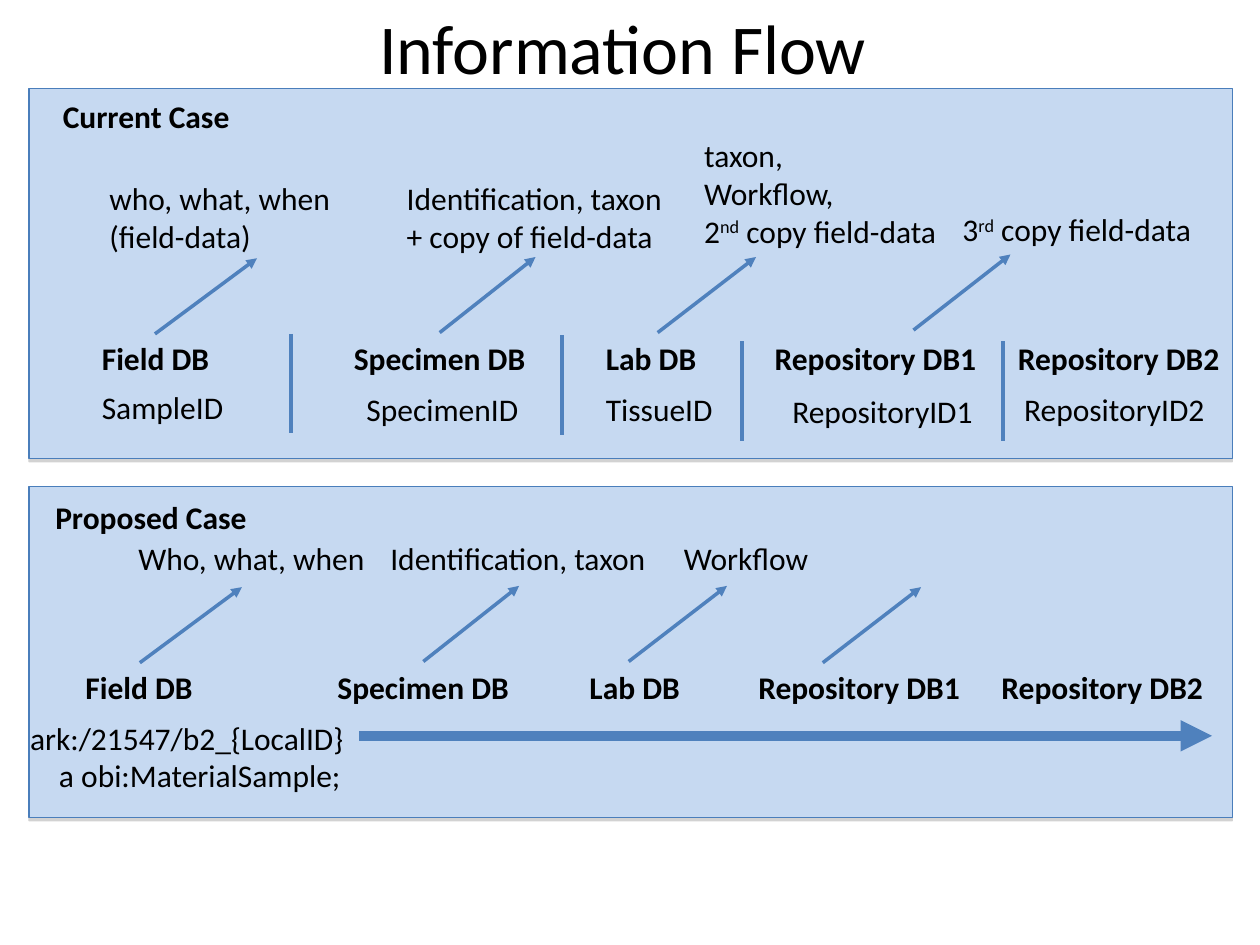
from lxml.etree import SubElement
from pptx import Presentation
from pptx.dml.color import RGBColor
from pptx.enum.shapes import MSO_CONNECTOR, MSO_SHAPE
from pptx.enum.text import MSO_AUTO_SIZE
from pptx.oxml.ns import qn
from pptx.util import Inches, Pt

COLORS = {"panel": "C6D9F1", "border": "4A7EBB", "line": "4F81BD", "text": "000000", "shadow": "808080"}


def add_text(shapes, text, left, top, width, bold=False, size=18):
    lines = text.split("\n")
    height = 0.77 if size == 40 else 0.1 + 0.3 * len(lines)
    box = shapes.add_textbox(Inches(left), Inches(top), Inches(width), Inches(height))
    frame = box.text_frame
    frame.word_wrap = False
    frame.auto_size = MSO_AUTO_SIZE.SHAPE_TO_FIT_TEXT
    for index, line in enumerate(lines):
        para = frame.add_paragraph() if index else frame.paragraphs[0]
        for part, words in enumerate(line.split("^")):
            span = para.add_run()
            span.text = words
            span.font.name = "Calibri"
            span.font.size = Pt(size)
            span.font.bold = bold
            span.font.color.rgb = RGBColor.from_string(COLORS["text"])
            if part % 2:
                span.font._element.set("baseline", "30000")


def add_line(shapes, start_x, start_y, end_x, end_y, weight=2, arrow=True):
    line = shapes.add_connector(
        MSO_CONNECTOR.STRAIGHT, Inches(start_x), Inches(start_y), Inches(end_x), Inches(end_y)
    )
    line.line.color.rgb = RGBColor.from_string(COLORS["line"])
    line.line.width = Pt(weight)
    if arrow:
        SubElement(line.line._get_or_add_ln(), qn("a:tailEnd"), type="triangle")
    SubElement(line._element.spPr, qn("a:effectLst"))


deck = Presentation()
deck.slide_width = Inches(10)
deck.slide_height = Inches(7.5)
page = deck.slides.add_slide(deck.slide_layouts[6])

add_text(page.shapes, "Information Flow", 2.91, -0.01, 4.08, size=40)

databases = [
    ("Field DB", 0.58, 1.05),
    ("Specimen DB", 2.58, 1.56),
    ("Lab DB", 4.58, 0.92),
    ("Repository DB1", 5.92, 1.8),
    ("Repository DB2", 7.85, 1.8),
]

cases = [
    {
        "title": ("Proposed Case", 0.34, 3.9, 1.72),
        "panel": (3.86, 2.63),
        "databases": (0, 5.25),
        "arrows": [(1.11, 5.26, 0.81), (3.36, 5.25, 0.76), (4.99, 5.25, 0.78), (6.53, 5.26, 0.78)],
        "dividers": [],
        "labels": [
            ("Who, what, when", 1, 4.23, 2),
            ("Identification, taxon", 3, 4.23, 2.24),
            ("Workflow", 5.33, 4.23, 1.2),
            ("ark:/21547/b2_{LocalID}", 0.14, 5.66, 2.69),
            ("a obi:MaterialSample;", 0.37, 5.95, 2.44),
        ],
    },
    {
        "title": ("Current Case", 0.4, 0.72, 1.53),
        "panel": (0.7, 2.94),
        "databases": (0.13, 2.64),
        "arrows": [(1.23, 2.65, 0.81), (3.49, 2.64, 0.76), (5.22, 2.64, 0.78), (7.25, 2.62, 0.77)],
        "dividers": [(2.31, 2.65), (4.46, 2.66), (5.89, 2.71), (7.96, 2.71)],
        "labels": [
            ("who, what, when\n(field-data)", 0.77, 1.37, 2.01),
            ("Identification, taxon\n+ copy of field-data", 3.13, 1.37, 2.24),
            ("taxon,\nWorkflow,\n2^nd^ copy field-data", 5.49, 1.03, 2.05),
            ("3^rd^ copy field-data", 7.54, 1.62, 2.02),
            ("SampleID", 0.71, 3.03, 1.2),
            ("SpecimenID", 2.81, 3.05, 1.44),
            ("TissueID", 4.71, 3.05, 1.08),
            ("RepositoryID1", 6.19, 3.06, 1.64),
            ("RepositoryID2", 8.03, 3.05, 1.64),
        ],
    },
]

for case in cases:
    shapes = page.shapes.add_group_shape().shapes
    panel_top, panel_height = case["panel"]
    panel = shapes.add_shape(
        MSO_SHAPE.RECTANGLE, Inches(0.23), Inches(panel_top), Inches(9.55), Inches(panel_height)
    )
    panel.fill.solid()
    panel.fill.fore_color.rgb = RGBColor.from_string(COLORS["panel"])
    panel.line.color.rgb = RGBColor.from_string(COLORS["border"])
    panel.line.width = Pt(0.75)
    panel.shadow.inherit = False
    effects = panel._element.spPr.find(qn("a:effectLst"))
    shadow = SubElement(
        effects, qn("a:outerShdw"), blurRad="0", dist=str(Pt(1.8)), dir="5400000", rotWithShape="0"
    )
    shade = SubElement(shadow, qn("a:srgbClr"), val=COLORS["shadow"])
    SubElement(shade, qn("a:alpha"), val="35000")

    add_text(shapes, *case["title"], bold=True)
    shift, row_top = case["databases"]
    for name, left, width in databases:
        add_text(shapes, name, left + shift, row_top, width, bold=True)
    for label in case["labels"]:
        add_text(shapes, *label)
    for left, bottom, run in case["arrows"]:
        add_line(shapes, left, bottom, left + run, bottom - 0.6)
    for left, top in case["dividers"]:
        add_line(shapes, left, top, left, top + 0.79, arrow=False)
    if case["title"][0] == "Proposed Case":
        add_line(shapes, 2.85, 5.84, 9.62, 5.84, weight=6)

deck.save("out.pptx")
